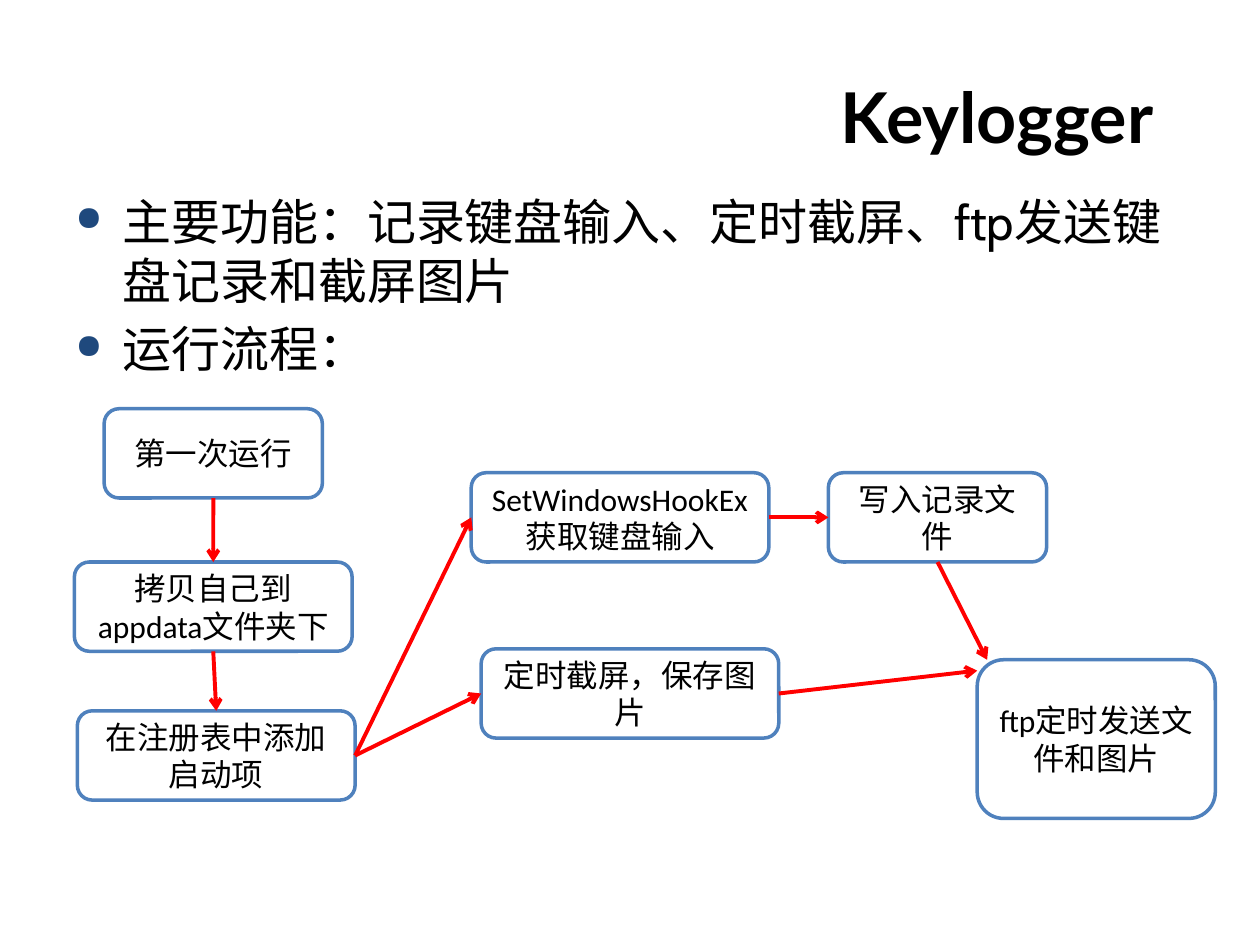
from dataclasses import dataclass
from typing import Optional

from lxml.etree import SubElement
from pptx import Presentation
from pptx.dml.color import RGBColor
from pptx.enum.shapes import MSO_CONNECTOR, MSO_SHAPE
from pptx.enum.text import MSO_ANCHOR, PP_ALIGN
from pptx.oxml.ns import qn
from pptx.util import Cm, Pt

COLORS = {"text": "000000", "box": "FFFFFF", "border": "4F81BD",
          "arrow": "FF0000", "bullet": "1F497D"}
TOP, LEFT, BOTTOM, RIGHT = range(4)


@dataclass
class Step:
    text: str
    x: float
    y: float
    w: float
    h: float = 1.8


@dataclass
class Arrow:
    start: str
    start_side: int
    end: str
    end_side: Optional[int] = None
    end_at: tuple[float, float] = (0, 0)


STEPS = {
    "first_run": Step("第一次运行", 2.1, 8.24, 4.4),
    "copy_self": Step("拷贝自己到appdata文件夹下", 1.5, 11.33, 5.6),
    "registry": Step("在注册表中添加启动项", 1.56, 14.33, 5.6),
    "hook": Step("SetWindowsHookEx获取键盘输入", 9.5, 9.53, 6),
    "write_log": Step("写入记录文件", 16.7, 9.53, 4.4),
    "screenshot": Step("定时截屏，保存图片", 9.7, 13.08, 6),
    "send": Step("ftp定时发送文件和图片", 19.7, 13.3, 4.8, 3.2),
}

ARROWS = [
    Arrow("first_run", BOTTOM, "copy_self", TOP),
    Arrow("copy_self", BOTTOM, "registry", TOP),
    Arrow("registry", RIGHT, "hook", LEFT),
    Arrow("registry", RIGHT, "screenshot", LEFT),
    Arrow("hook", RIGHT, "write_log", LEFT),
    Arrow("screenshot", RIGHT, "send", end_at=(19.7, 13.52)),
    Arrow("write_log", BOTTOM, "send", end_at=(19.9, 13.3)),
]

BULLETS = ["主要功能：记录键盘输入、定时截屏、ftp发送键盘记录和截屏图片", "运行流程："]


def rgb(name: str) -> RGBColor:
    return RGBColor.from_string(COLORS[name])


def add_run(p, text: str, size: int, font: str, bold: bool = False) -> None:
    r = p.add_run()
    r.text = text
    r.font.size = Pt(size)
    r.font.name = font
    r.font.bold = bold
    r.font.color.rgb = rgb("text")


def add_title(s, text: str) -> None:
    tf = s.shapes.add_textbox(Cm(1.7), Cm(1.73), Cm(21.8), Cm(1.2)).text_frame
    tf.word_wrap = True
    tf.vertical_anchor = MSO_ANCHOR.MIDDLE
    p = tf.paragraphs[0]
    p.alignment = PP_ALIGN.RIGHT
    add_run(p, text, 40, "Lato", True)


def set_bullet(p) -> None:
    pPr = p._p.get_or_add_pPr()
    pPr.set("marL", str(Cm(0.95)))
    pPr.set("indent", str(-Cm(0.95)))
    color = SubElement(pPr, qn("a:buClr"))
    SubElement(color, qn("a:srgbClr"), val=COLORS["bullet"])
    SubElement(pPr, qn("a:buSzPct"), val="70000")
    SubElement(pPr, qn("a:buChar"), char="●")


def add_bullets(s, items: list[str]) -> None:
    tf = s.shapes.add_textbox(Cm(1.27), Cm(3.73), Cm(22.86), Cm(13.28)).text_frame
    tf.word_wrap = True
    for i, text in enumerate(items):
        p = tf.add_paragraph() if i else tf.paragraphs[0]
        p.space_before = Pt(5.6)
        set_bullet(p)
        add_run(p, text, 28, "Cabin")


def add_step(s, step: Step):
    sp = s.shapes.add_shape(MSO_SHAPE.ROUNDED_RECTANGLE, Cm(step.x), Cm(step.y),
                            Cm(step.w), Cm(step.h))
    sp.shadow.inherit = False
    sp.fill.solid()
    sp.fill.fore_color.rgb = rgb("box")
    sp.line.color.rgb = rgb("border")
    sp.line.width = Pt(2)
    tf = sp.text_frame
    tf.word_wrap = True
    tf.vertical_anchor = MSO_ANCHOR.MIDDLE
    p = tf.paragraphs[0]
    p.alignment = PP_ALIGN.CENTER
    add_run(p, step.text, 18, "Calibri")
    return sp


def add_arrow(s, arrow: Arrow, boxes: dict) -> None:
    x, y = arrow.end_at
    c = s.shapes.add_connector(MSO_CONNECTOR.STRAIGHT, 0, 0, Cm(x), Cm(y))
    c.begin_connect(boxes[arrow.start], arrow.start_side)
    if arrow.end_side is not None:
        c.end_connect(boxes[arrow.end], arrow.end_side)
    c.line.color.rgb = rgb("arrow")
    c.line.width = Pt(2.25)
    SubElement(c.line._get_or_add_ln(), qn("a:tailEnd"), type="arrow")
    SubElement(c._element.spPr, qn("a:effectLst"))


def main() -> None:
    prs = Presentation()
    prs.slide_width, prs.slide_height = Cm(25.4), Cm(19.05)
    s = prs.slides.add_slide(prs.slide_layouts[6])
    add_title(s, "Keylogger")
    add_bullets(s, BULLETS)
    boxes = {name: add_step(s, step) for name, step in STEPS.items()}
    for arrow in ARROWS:
        add_arrow(s, arrow, boxes)
    prs.save("out.pptx")


if __name__ == "__main__":
    main()
